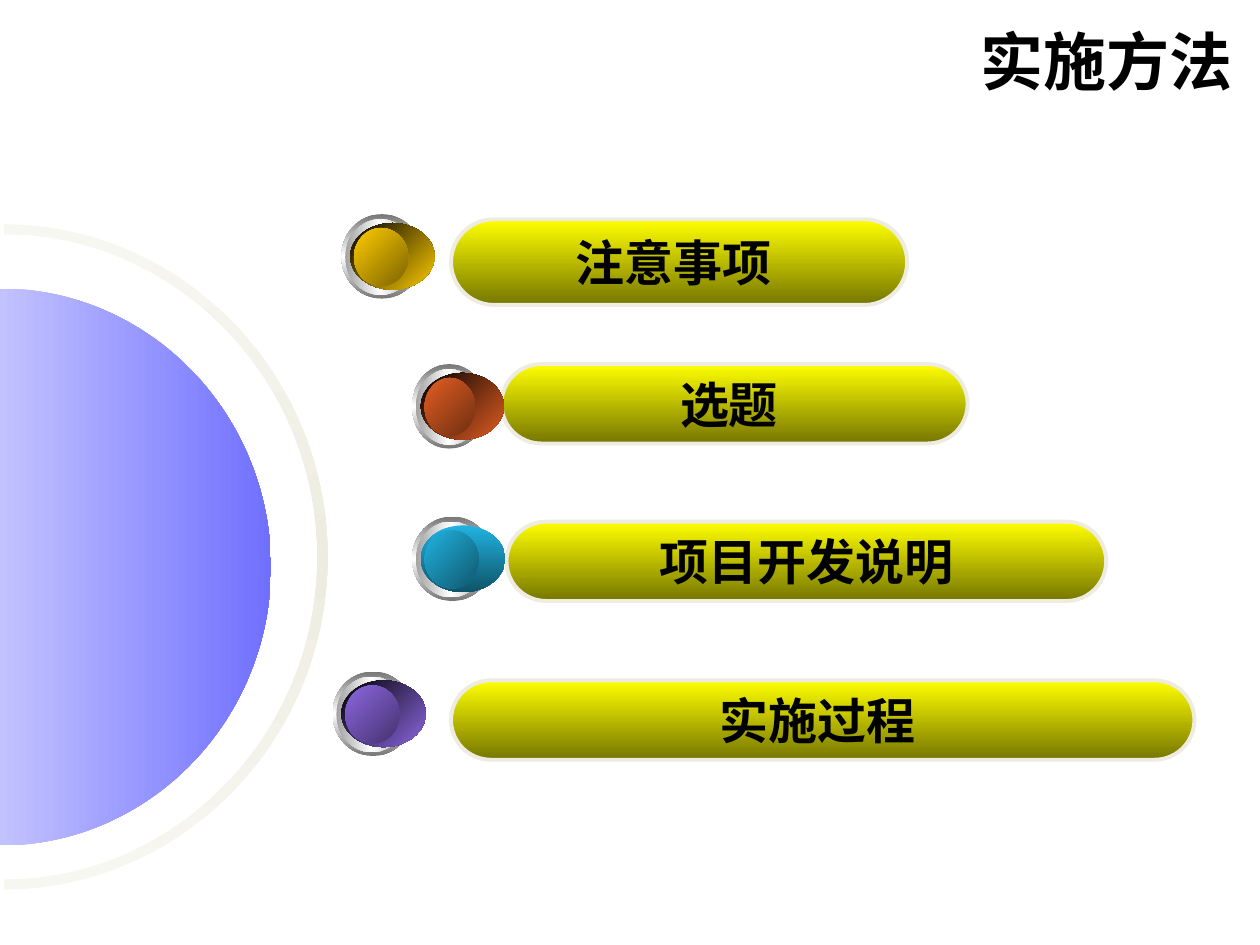
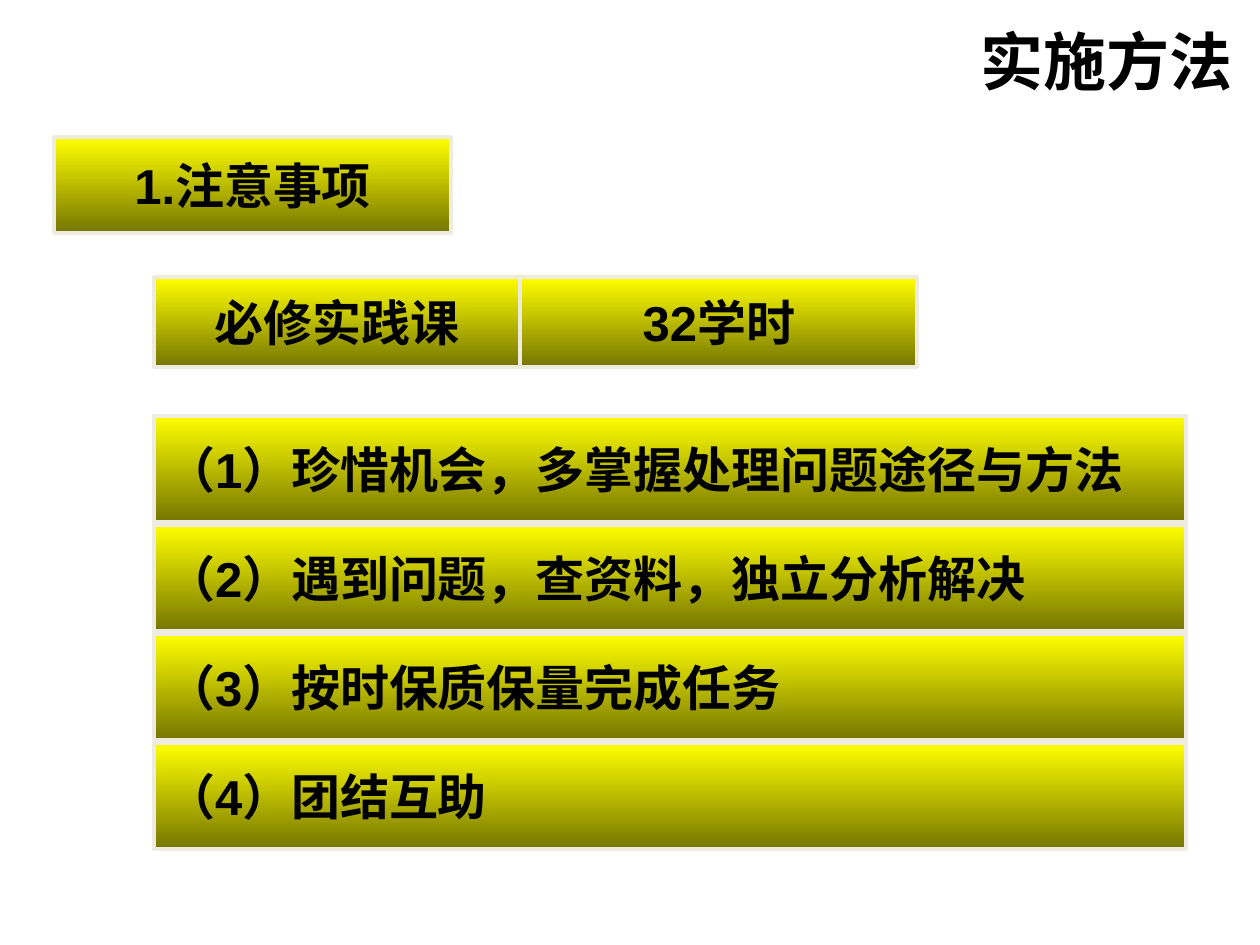
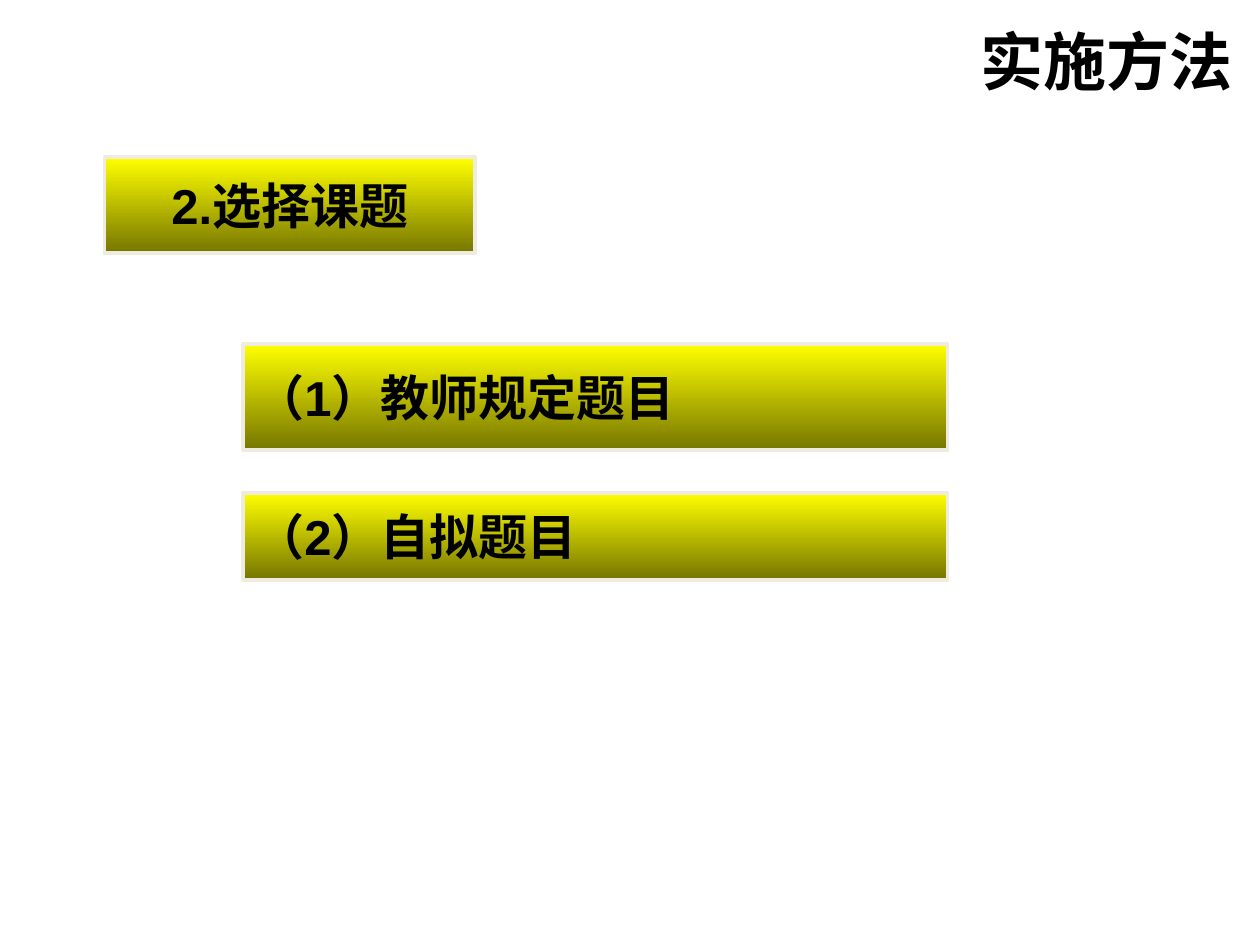
from lxml import etree
from pptx import Presentation
from pptx import util as u
from pptx.dml.color import RGBColor
from pptx.enum import shapes, text
from pptx.oxml import ns

COLORS = {
    "ink": "000000", "white": "FFFFFF",
    "bar": "FFFF00", "bar_dark": "767600", "edge": "EEECE1", "arc": "F7F7F2",
    "disc_light": "C2C2FF", "disc": "7070FF",
    "steel": "767676", "silver": "A2A2A2",
    "gold": "FFCC00", "gold_dark": "7C6300",
    "orange": "E35E23", "orange_dark": "6E2E11",
    "cyan": "21B3E1", "cyan_rim": "0F5368", "cyan_dark": "10576D",
    "violet": "8D67E1", "violet_dark": "45326D",
}
CJK = "Noto Sans CJK SC"
SHAPE = shapes.MSO_SHAPE
ALIGN = text.PP_ALIGN


def paint(sp, names, angle):
    """Fill a shape with evenly spaced gradient stops, without line or shadow."""
    sp.shadow.inherit = False
    sp.line.fill.background()
    sp.fill.gradient()
    grad = sp._element.spPr.find(ns.qn("a:gradFill"))
    stops = grad.find(ns.qn("a:gsLst"))
    for stop in list(stops):
        stops.remove(stop)
    for i, name in enumerate(names):
        pos = str(round(100000 * i / (len(names) - 1)))
        stop = etree.SubElement(stops, ns.qn("a:gs"), pos=pos)
        etree.SubElement(stop, ns.qn("a:srgbClr"), val=COLORS[name])
    grad.find(ns.qn("a:lin")).set("ang", str(angle * 60000))


def write(tf, words, size, font, align):
    """Write one bold paragraph into a text frame."""
    p = tf.paragraphs[0]
    p.alignment = align
    r = p.add_run()
    r.text = words
    r.font.size = u.Pt(size)
    r.font.bold = True
    r.font.name = font
    r.font.color.rgb = RGBColor.from_string(COLORS["ink"])
    etree.SubElement(r._r.get_or_add_rPr(), ns.qn("a:ea"), typeface=CJK)


def add_title(s, words):
    """Place the right-aligned slide title."""
    tf = s.shapes.add_textbox(*map(u.Inches, (2.48, 0.13, 7.4, 0.87))).text_frame
    tf.word_wrap = True
    write(tf, words, 36, CJK, ALIGN.RIGHT)


def add_bar(s, box, words, align=ALIGN.CENTER, kind=SHAPE.RECTANGLE, font="Arial"):
    """Place a yellow gradient bar with its label."""
    sp = s.shapes.add_shape(kind, *map(u.Inches, box))
    if kind == SHAPE.ROUNDED_RECTANGLE:
        sp.adjustments[0] = 0.5
    paint(sp, ("bar", "bar_dark"), 90)
    sp.line.color.rgb = RGBColor.from_string(COLORS["edge"])
    sp.line.width = u.Pt(2.25)
    tf = sp.text_frame
    tf.word_wrap = False
    tf.vertical_anchor = text.MSO_ANCHOR.MIDDLE
    write(tf, words, 28, font, align)


def add_badge(s, x, y, widths, rim, rim_angle, face):
    """Place a metal ring with a coloured button in it."""
    layers = (
        (0, 0, 0.67, ("steel", "white", "steel"), 90),
        (0.03, 0.04, 0.6, ("silver", "white", "silver"), 0),
        (0.07, 0.07, 0.53, rim, rim_angle),
        (0.1, 0.11, 0.46, face, 45),
    )
    for width, (dx, dy, height, names, angle) in zip(widths, layers):
        box = map(u.Inches, (x + dx, y + dy, width, height))
        paint(s.shapes.add_shape(SHAPE.OVAL, *box), names, angle)


def half_ellipse(cx, cy, rx, ry):
    """Return the curve points of a right half ellipse from top to bottom."""
    k = 0.55
    units = ((0, -1), (k, -1), (1, -k), (1, 0), (1, k), (k, 1), (0, 1))
    return [(u.Inches(cx + rx * dx), u.Inches(cy + ry * dy)) for dx, dy in units]


def add_outline(s, arcs, names, angle):
    """Place a closed outline of half ellipses joined by straight lines."""
    points = [point for arc in arcs for point in arc]
    builder = s.shapes.build_freeform(*points[0], scale=1.0)
    builder.add_line_segments(points[1:], close=True)
    sp = builder.convert_to_shape()
    lines = list(sp._element.iter(ns.qn("a:lnTo")))
    for start in range(0, len(lines), 7):
        for first in (start, start + 3):
            curve = etree.Element(ns.qn("a:cubicBezTo"))
            lines[first].addprevious(curve)
            for line in lines[first:first + 3]:
                curve.append(line[0])
                line.getparent().remove(line)
    paint(sp, names, angle)


def add_dial(s):
    """Place the half disc and its surrounding arc at the left edge."""
    add_outline(s, [half_ellipse(0, 4.5, 2.15, 2.21)], ("disc_light", "disc"), 0)
    outer = half_ellipse(0.03, 4.42, 2.57, 2.64)
    inner = half_ellipse(0.03, 4.42, 2.49, 2.56)
    add_outline(s, [outer, inner[::-1]], ("arc", "edge", "arc"), 90)


def overview_slide(s):
    """Fill the slide that lists the four topics around the dial."""
    add_dial(s)
    wide, slim = (0.64, 0.56, 0.67, 0.43), (0.59, 0.53, 0.66, 0.4)
    topics = (
        ("注意事项 ", (3.58, 1.74, 3.62, 0.68),
         (2.71, 1.7, wide, ("ink", "gold"), 45, ("gold", "gold_dark"))),
        ("选题 ", (3.98, 2.89, 3.7, 0.63),
         (3.27, 2.89, slim, ("ink", "orange"), 45, ("orange", "orange_dark"))),
        ("项目开发说明", (4.02, 4.14, 4.76, 0.63),
         (3.27, 4.1, wide, ("cyan", "cyan_rim"), 90, ("cyan", "cyan_dark"))),
        ("实施过程 ", (3.58, 5.4, 5.9, 0.63),
         (2.64, 5.33, wide, ("ink", "violet"), 45, ("violet", "violet_dark"))),
    )
    for words, box, badge in topics:
        add_bar(s, box, words, kind=SHAPE.ROUNDED_RECTANGLE, font="Calibri")
        add_badge(s, *badge)


def notes_slide(s):
    """Fill the slide with the points to note."""
    add_bar(s, (0.43, 1.09, 3.15, 0.76), "1.注意事项")
    add_bar(s, (1.22, 2.2, 2.91, 0.71), "必修实践课")
    add_bar(s, (4.13, 2.2, 3.15, 0.71), "32学时")
    points = ("珍惜机会，多掌握处理问题途径与方法", "遇到问题，查资料，独立分析解决",
              "按时保质保量完成任务", "团结互助")
    pitch = (5.9 - 3.3) / (len(points) - 1)
    for i, words in enumerate(points):
        add_bar(s, (1.22, 3.3 + pitch * i, 8.19, 0.84), f"（{i + 1}）{words}", ALIGN.LEFT)


def choice_slide(s):
    """Fill the slide on choosing a project."""
    add_bar(s, (0.83, 1.25, 2.94, 0.76), "2.选择课题")
    add_bar(s, (1.93, 2.73, 5.59, 0.84), "（1）教师规定题目", ALIGN.LEFT)
    add_bar(s, (1.93, 3.91, 5.59, 0.69), "（2）自拟题目", ALIGN.LEFT)


def main():
    """Build and save the presentation."""
    prs = Presentation()
    prs.slide_width, prs.slide_height = u.Inches(10), u.Inches(7.5)
    for fill_slide in (overview_slide, notes_slide, choice_slide):
        s = prs.slides.add_slide(prs.slide_layouts[6])
        fill_slide(s)
        add_title(s, "实施方法")
    prs.save("out.pptx")


main()
